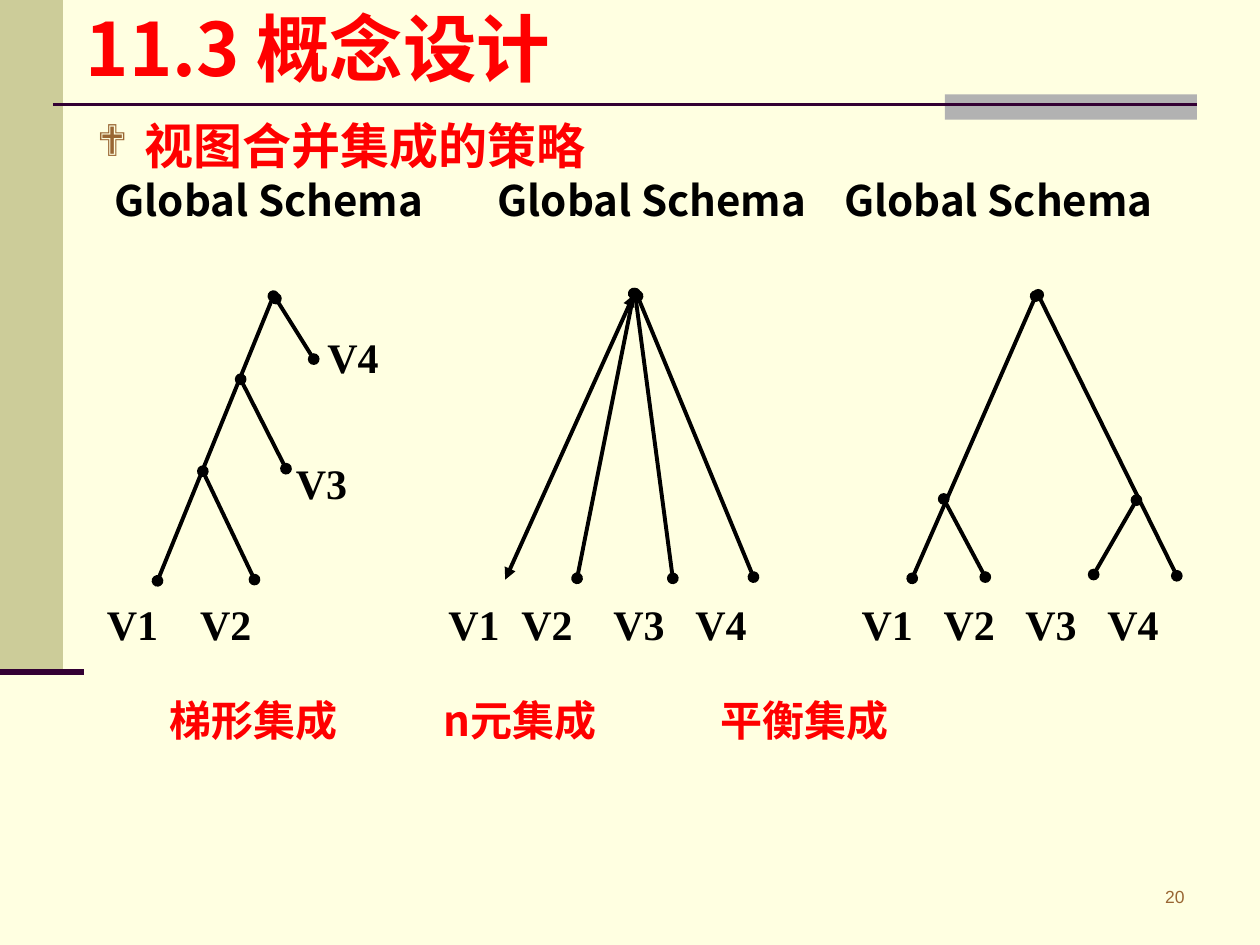
from pptx import Presentation
from pptx.dml.color import RGBColor
from pptx.enum.shapes import MSO_CONNECTOR as Conn, MSO_SHAPE as Shape
from pptx.enum.text import MSO_ANCHOR as Anchor, PP_ALIGN as Align
from pptx.oxml import parse_xml
from pptx.oxml.ns import nsdecls, qn
from pptx.util import Inches, Pt

CJK, SERIF = "Noto Sans CJK SC", "Times New Roman"
RED, BLACK, BROWN, PLUM = "FF0000", "000000", "996633", "330033"


def color(code):
    return RGBColor.from_string(code)


def xml(tag, inner="", **attrs):
    pairs = " ".join(f'{key}="{val}"' for key, val in attrs.items())
    return parse_xml(f"<a:{tag} {nsdecls('a')} {pairs}>{inner}</a:{tag}>")


def add_run(para, text, size, font, code, bold=True):
    run = para.add_run()
    run.text = text
    run.font.size, run.font.bold, run.font.name = Pt(size), bold, font
    run.font.color.rgb = color(code)
    run._r.get_or_add_rPr().append(xml("ea", typeface=font))


def add_box(slide, left, top, width, height, wrap=True):
    box = slide.shapes.add_textbox(*map(Inches, (left, top, width, height)))
    box.text_frame.word_wrap = wrap
    return box.text_frame


def set_tabs(para, stops):
    tabs = "".join(f'<a:tab pos="{Inches(stop)}" algn="l"/>' for stop in stops)
    para._p.get_or_add_pPr().append(xml("tabLst", tabs))


def add_row(para, words, stops, size, font, code):
    """Set words in columns, the first at the margin and the rest at tab stops."""
    set_tabs(para, stops)
    add_run(para, "\t".join(words), size, font, code)


def add_bar(slide, left, top, width, height, code):
    bar = slide.shapes.add_shape(
        Shape.RECTANGLE, *map(Inches, (left, top, width, height)))
    bar.shadow.inherit = False
    bar.fill.solid()
    bar.fill.fore_color.rgb = color(code)
    bar.line.fill.background()


def add_line(slide, start, end, code, width, tip=None):
    line = slide.shapes.add_connector(
        Conn.STRAIGHT, *map(Inches, (*start, *end)))
    line.line.color.rgb = color(code)
    line.line.width = Pt(width)
    if tip:
        for tag in ("headEnd", "tailEnd"):
            line.line._ln.append(xml(tag, type=tip))
    line._element.find(qn("p:spPr")).append(xml("effectLst"))


def add_frame(slide):
    """Side band, rules and the tab at the top right."""
    add_bar(slide, 0, 0, 0.5, 5.33, "CCCC99")
    add_bar(slide, 7.5, 0.75, 2, 0.2, "B2B2B2")
    add_line(slide, (0.42, 0.83), (9.5, 0.83), PLUM, 1.5)
    add_line(slide, (0, 5.33), (0.67, 5.33), PLUM, 3.5)


def add_title(slide, left, top, width, height):
    title = slide.shapes.title
    title.left, title.top, title.width, title.height = map(
        Inches, (left, top, width, height))
    title.text_frame.vertical_anchor = Anchor.MIDDLE
    para = title.text_frame.paragraphs[0]
    para.alignment = Align.LEFT
    add_run(para, "11.3 概念设计", 42, CJK, RED)


def add_body(slide, left, top, width, height):
    frame = add_box(slide, left, top, width, height)
    lead, heads = frame.paragraphs[0], frame.add_paragraph()
    lead.line_spacing = heads.line_spacing = 0.9
    heads.space_before = Pt(3)

    props = lead._p.get_or_add_pPr()
    props.set("marL", str(Inches(0.38)))
    props.set("indent", str(-Inches(0.38)))
    props.append(xml("buClr", f'<a:srgbClr val="{BROWN}"/>'))
    props.append(xml("buSzPct", val=90000))
    props.append(xml("buFont", typeface="Wingdings"))
    props.append(xml("buChar", char="❖"))
    add_run(lead, "视图合并集成的策略", 28, CJK, RED)

    heads._p.get_or_add_pPr().set("marL", str(Inches(0.14)))
    add_row(heads, ["Global Schema"] * 3, [3.04, 5.79], 24, CJK, BLACK)


def add_tree(slide, left, top, edges):
    """Draw edges (x1, y1, x2, y2, tip) from the corner of the tree."""
    for x1, y1, x2, y2, tip in edges:
        add_line(slide, (left + x1, top + y1), (left + x2, top + y2),
                 BLACK, 2.25, tip)


def add_ladder(slide, left, top):
    add_tree(slide, left, top, [
        (0.92, 0.02, 0, 2.28, "oval"),
        (0.94, 0.04, 1.24, 0.52, "oval"),
        (0.66, 0.68, 1.02, 1.39, "oval"),
        (0.36, 1.41, 0.77, 2.27, "oval")])
    for name, x, y in (("V3", 1, 1.25), ("V4", 1.25, 0.25)):
        frame = add_box(slide, left + x, top + y, 0.61, 0.5, wrap=False)
        add_run(frame.paragraphs[0], name, 24, SERIF, BLACK)


def add_fan(slide, left, top):
    add_tree(slide, left, top, [
        (1.02, 0.01, 0, 2.27, "triangle"),
        (1.02, 0, 0.57, 2.26, "oval"),
        (1.03, 0, 1.33, 2.26, "oval"),
        (1.05, 0.02, 1.97, 2.25, "oval")])


def add_balance(slide, left, top):
    add_tree(slide, left, top, [
        (0.98, 0.02, 0, 2.26, "oval"),
        (1, 0.01, 2.1, 2.24, "oval"),
        (0.25, 1.63, 0.58, 2.25, "oval"),
        (1.78, 1.64, 1.44, 2.23, "oval")])


def add_labels(slide):
    """Leaf names and strategy names below the trees."""
    views = ["V1", "V2", "V3", "V4"]
    leaves = add_box(slide, 0.75, 4.7, 9, 0.5).paragraphs[0]
    add_row(leaves, views[:2] + views * 2,
            [0.74, 2.71, 3.29, 4.02, 4.67, 5.99, 6.64, 7.29, 7.94],
            24, SERIF, BLACK)
    names = add_box(slide, 1.25, 5.46, 8.42, 0.58).paragraphs[0]
    add_row(names, ["梯形集成", "n元集成", "平衡集成"], [2.17, 4.37],
            24, CJK, RED)


def add_number(slide, left, top, width, height):
    para = add_box(slide, left, top, width, height).paragraphs[0]
    para.alignment = Align.RIGHT
    add_run(para, "20", 10, "Arial", BROWN, bold=False)


def main():
    deck = Presentation()
    deck.slide_width, deck.slide_height = Inches(10), Inches(7.5)
    slide = deck.slides.add_slide(deck.slide_layouts[5])
    slide.background.fill.solid()
    slide.background.fill.fore_color.rgb = color("FFFFE1")
    add_frame(slide)
    add_title(slide, 0.58, 0, 8.5, 0.75)
    add_body(slide, 0.67, 0.92, 9, 5.98)
    add_ladder(slide, 1.25, 2.33)
    add_fan(slide, 4.01, 2.33)
    add_balance(slide, 7.24, 2.33)
    add_labels(slide)
    add_number(slide, 8.23, 6.98, 1.27, 0.35)
    deck.save("out.pptx")


if __name__ == "__main__":
    main()
